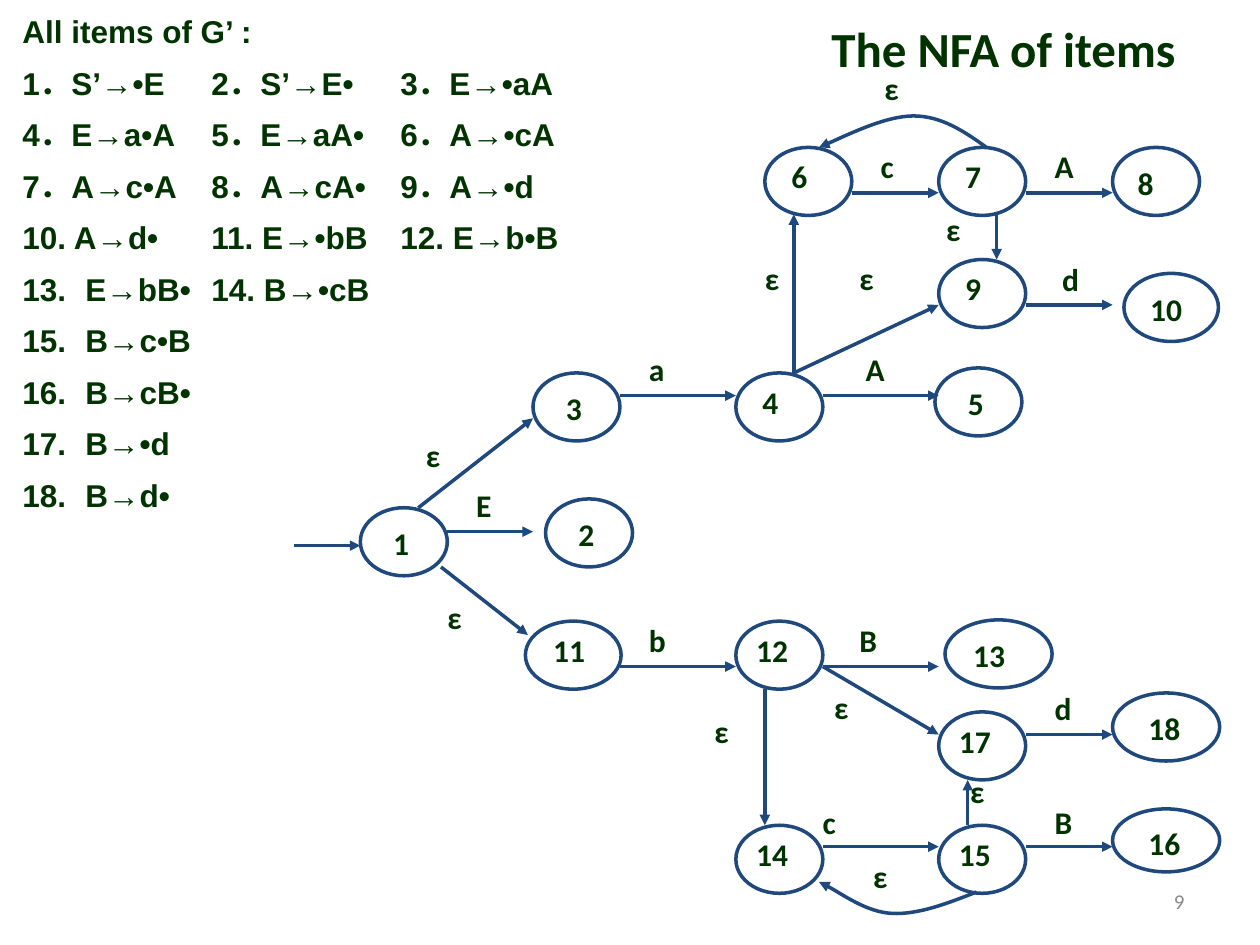
from dataclasses import dataclass

from lxml import etree
from pptx import Presentation
from pptx.dml.color import RGBColor
from pptx.enum.shapes import MSO_CONNECTOR, MSO_SHAPE
from pptx.enum.text import MSO_ANCHOR, PP_ALIGN
from pptx.oxml.ns import qn
from pptx.util import Emu, Pt

PX = 9144
INK = RGBColor(0x00, 0x33, 0x00)
BLUE = RGBColor(0x1F, 0x49, 0x7D)
GREY = RGBColor(0x89, 0x89, 0x89)
ELLIPSE = MSO_SHAPE.OVAL
STRAIGHT = MSO_CONNECTOR.STRAIGHT
LEFT, RIGHT = PP_ALIGN.LEFT, PP_ALIGN.RIGHT
TOP, MIDDLE = MSO_ANCHOR.TOP, MSO_ANCHOR.MIDDLE
STATE_FONT = {"name": "Calibri", "size": Pt(18), "bold": True}
TITLE_FONT = {**STATE_FONT, "size": Pt(28)}
ITEM_FONT = {**STATE_FONT, "name": "Arial"}
NUMBER_FONT = {"name": "Calibri", "size": Pt(12), "bold": False}


@dataclass(frozen=True)
class State:
    label: str
    x: int
    y: int
    w: int = 69
    h: int = 54
    pad_left: int = 11
    pad_top: int = 0


@dataclass(frozen=True)
class Symbol:
    text: str
    x: int
    y: int
    h: int = 32


@dataclass(frozen=True)
class Item:
    text: str
    start: int = 0


STATES = [
    State("1", 286, 403, pad_left=16, pad_top=5),
    State("2", 433, 396, pad_left=16, pad_top=5),
    State("3", 423, 296, pad_left=16, pad_top=5),
    State("4", 584, 296),
    State("5", 742, 292, pad_left=16, pad_top=5),
    State("6", 607, 117),
    State("7", 745, 117),
    State("8", 883, 117, pad_left=10, pad_top=5),
    State("9", 745, 206),
    State("10", 892, 217, w=75, pad_left=10, pad_top=5),
    State("11", 417, 493, w=76),
    State("12", 584, 493, pad_left=6),
    State("13", 750, 492, w=85, pad_left=10, pad_top=5),
    State("14", 584, 655, pad_left=6),
    State("15", 745, 655, pad_left=6),
    State("16", 883, 642, w=85, h=50, pad_left=16, pad_top=5),
    State("17", 745, 565, pad_left=6),
    State("18", 883, 550, w=85, pad_left=16, pad_top=5),
]

EDGES = [
    (233, 433, 286, 433), (332, 403, 423, 332), (355, 422, 423, 422),
    (350, 450, 419, 504), (492, 314, 584, 314), (492, 529, 584, 529),
    (653, 314, 745, 314), (630, 296, 630, 170), (630, 296, 745, 242),
    (676, 153, 745, 153), (814, 153, 883, 153), (791, 170, 791, 206),
    (814, 242, 883, 242), (653, 529, 745, 529), (653, 529, 745, 583),
    (607, 547, 607, 655), (653, 672, 745, 672), (768, 655, 768, 619),
    (814, 583, 883, 583), (814, 672, 883, 672),
]

LOOPS = [
    [(783, 117), (765, 104), (747, 92), (725, 92), (703, 92), (662, 112), (650, 117)],
    [(775, 708), (752, 717), (729, 726), (708, 725), (688, 724), (660, 704), (650, 700)],
]

SYMBOLS = [
    Symbol("E", 378, 386, 54),
    Symbol("a", 515, 278), Symbol("b", 515, 493),
    Symbol("c", 699, 117), Symbol("A", 837, 117),
    Symbol("A", 687, 278), Symbol("d", 843, 206),
    Symbol("B", 682, 493), Symbol("d", 837, 547),
    Symbol("c", 653, 637), Symbol("B", 837, 637),
] + [
    Symbol("ε", x, y, 54)
    for x, y in [
        (338, 346), (355, 475), (751, 167), (682, 206), (607, 206), (702, 55),
        (567, 565), (662, 546), (770, 613), (693, 680),
    ]
]

ITEMS = [
    Item("All items of G’ :"),
    Item("1．S’→•E\t2．S’→E•\t3．E→•aA"),
    Item("4．E→a•A\t5．E→aA•\t6．A→•cA"),
    Item("7．A→c•A\t8．A→cA•\t9．A→•d"),
    Item("10. A→d•\t11. E→•bB\t12. E→b•B"),
    Item("E→bB•\t14. B→•cB", 13),
    Item("B→c•B", 15),
    Item("B→cB•", 15),
    Item("B→•d", 15),
    Item("B→d•", 15),
]


def px(*lengths: int) -> list[Emu]:
    return [Emu(length * PX) for length in lengths]


def style(font, formats: dict, color: RGBColor) -> None:
    for key, value in formats.items():
        setattr(font, key, value)
    font.color.rgb = color


def set_frame(frame, left: int, top: int, right: int, wrap: bool = True, anchor=TOP) -> None:
    formats = {
        "margin_left": Emu(left * PX), "margin_top": Emu(top * PX),
        "margin_right": Emu(right * PX), "margin_bottom": Emu(top * PX),
        "word_wrap": wrap, "vertical_anchor": anchor,
    }
    for key, value in formats.items():
        setattr(frame, key, value)


def write(frame, text: str, formats: dict, color: RGBColor = INK, align=LEFT) -> None:
    paragraph = frame.paragraphs[0]
    paragraph.alignment = align
    run = paragraph.add_run()
    run.text = text
    style(run.font, formats, color)


def outline(shape) -> None:
    shape.line.color.rgb = BLUE
    shape.line.width = Pt(2)


def add_arrowhead(shape) -> None:
    outline(shape)
    etree.SubElement(shape.line._get_or_add_ln(), qn("a:tailEnd"), type="triangle")


def draw_state(shapes, state: State) -> None:
    oval = shapes.add_shape(ELLIPSE, *px(state.x, state.y, state.w, state.h))
    oval.shadow.inherit = False
    oval.fill.background()
    outline(oval)
    set_frame(oval.text_frame, state.pad_left, state.pad_top, 0)
    write(oval.text_frame, state.label, STATE_FONT)


def draw_edge(shapes, ends: tuple[int, int, int, int]) -> None:
    edge = shapes.add_connector(STRAIGHT, *px(*ends))
    add_arrowhead(edge)
    etree.SubElement(edge._element.spPr, qn("a:effectLst"))


def draw_loop(shapes, points: list[tuple[int, int]]) -> None:
    builder = shapes.build_freeform(*points[0], scale=PX)
    builder.add_line_segments(points[1:], close=False)
    loop = builder.convert_to_shape()
    loop.shadow.inherit = False
    loop.fill.background()
    add_arrowhead(loop)
    segments = list(loop._element.iter(qn("a:lnTo")))
    track = segments[0].getparent()
    for first in range(0, len(segments), 3):
        curve = etree.SubElement(track, qn("a:cubicBezTo"))
        for segment in segments[first:first + 3]:
            curve.append(segment[0])
            track.remove(segment)


def draw_symbol(shapes, symbol: Symbol) -> None:
    frame = shapes.add_textbox(*px(symbol.x, symbol.y, 46, symbol.h)).text_frame
    set_frame(frame, 0, 0, 0)
    write(frame, symbol.text, STATE_FONT)


def draw_items(shapes, items: list[Item]) -> None:
    frame = shapes.add_textbox(*px(8, 8, 633, 605)).text_frame
    set_frame(frame, 10, 5, 10)
    for index, item in enumerate(items):
        paragraph = frame.add_paragraph() if index else frame.paragraphs[0]
        paragraph.line_spacing = 0.9
        if index:
            paragraph.space_before = Pt(10)
        properties = paragraph._p.get_or_add_pPr()
        properties.set("marL", str(50 * PX))
        properties.set("indent", str(-50 * PX))
        if item.start:
            etree.SubElement(properties, qn("a:buFont"), typeface="+mj-lt")
            etree.SubElement(properties, qn("a:buAutoNum"), type="arabicPeriod", startAt=str(item.start))
        run = paragraph.add_run()
        run.text = item.text
        style(run.font, ITEM_FONT, INK)


def main() -> None:
    deck = Presentation()
    deck.slide_width, deck.slide_height = px(1000, 750)
    shapes = deck.slides.add_slide(deck.slide_layouts[6]).shapes

    title = shapes.add_textbox(*px(650, 10, 315, 57)).text_frame
    set_frame(title, 10, 5, 10, wrap=False)
    write(title, "The NFA of items", TITLE_FONT)

    for draw, parts in (
        (draw_state, STATES), (draw_edge, EDGES), (draw_loop, LOOPS), (draw_symbol, SYMBOLS),
    ):
        for part in parts:
            draw(shapes, part)
    draw_items(shapes, ITEMS)

    page = shapes.add_textbox(*px(717, 695, 233, 40)).text_frame
    set_frame(page, 10, 5, 10, anchor=MIDDLE)
    write(page, "9", NUMBER_FONT, GREY, RIGHT)
    deck.save("out.pptx")


if __name__ == "__main__":
    main()
